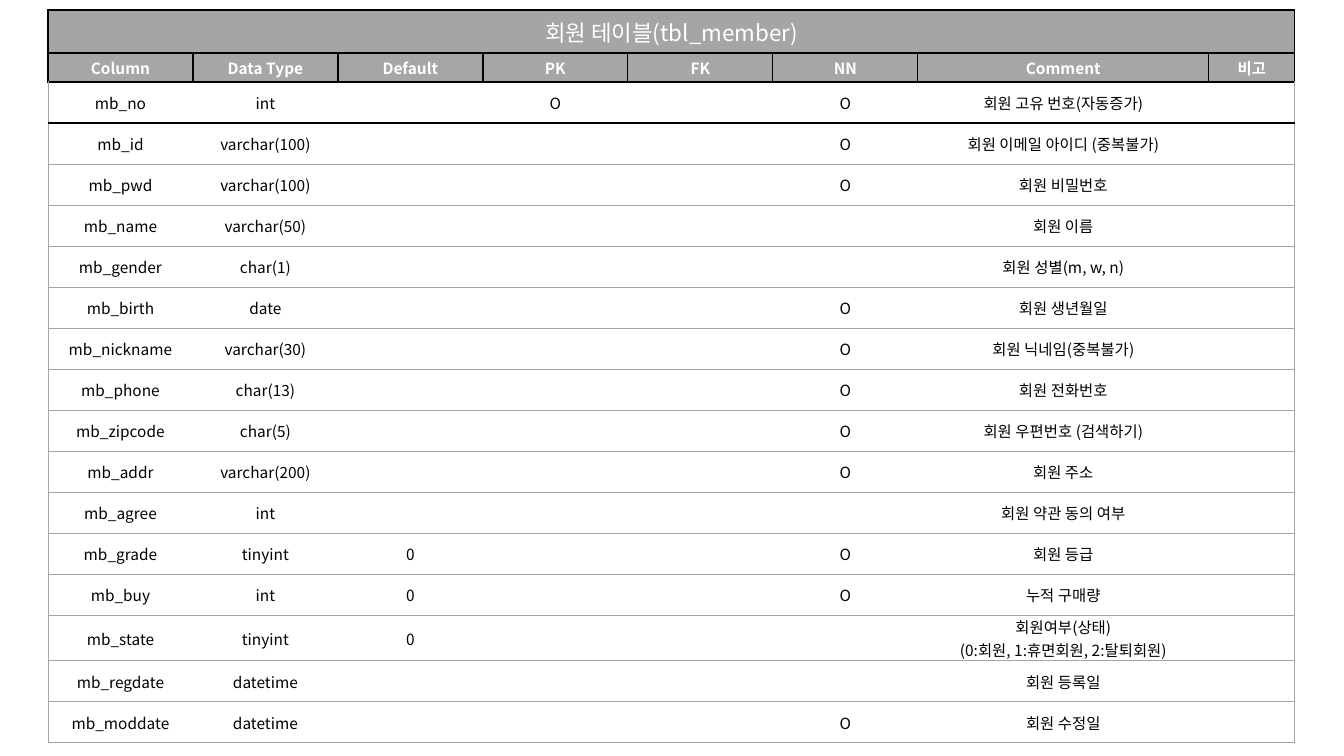
from dataclasses import dataclass

from lxml import etree
from pptx import Presentation
from pptx.dml.color import RGBColor
from pptx.enum.text import MSO_ANCHOR, PP_ALIGN
from pptx.oxml.ns import qn
from pptx.util import Pt

MIDDLE = MSO_ANCHOR.MIDDLE
CENTER = PP_ALIGN.CENTER
EMU_PER_PX = 914400 / 100.8
PLAIN_TABLE_STYLE = "{2D5ABB26-0587-4C30-8999-92F81FD0307C}"


@dataclass(frozen=True)
class Theme:
    """Colours, type sizes and line styles of the deck."""
    font: str = "Noto Sans CJK KR"
    title_size: int = 16
    body_size: int = 11
    white: str = "FFFFFF"
    black: str = "000000"
    title_fill: str = "A5A5A5"
    header_fill: str = "A6A6A6"
    strong_line: tuple = ("000000", 1)
    light_line: tuple = ("A5A5A5", 0.5)


THEME = Theme()
TITLE = "회원 테이블(tbl_member)"
HEADERS = ("Column", "Data Type", "Default", "PK", "FK", "NN", "Comment", "비고")
FIELDS = (
    ("mb_no", "int", "", "O", "", "O", "회원 고유 번호(자동증가)", ""),
    ("mb_id", "varchar(100)", "", "", "", "O", "회원 이메일 아이디 (중복불가)", ""),
    ("mb_pwd", "varchar(100)", "", "", "", "O", "회원 비밀번호", ""),
    ("mb_name", "varchar(50)", "", "", "", "", "회원 이름", ""),
    ("mb_gender", "char(1)", "", "", "", "", "회원 성별(m, w, n)", ""),
    ("mb_birth", "date", "", "", "", "O", "회원 생년월일", ""),
    ("mb_nickname", "varchar(30)", "", "", "", "O", "회원 닉네임(중복불가)", ""),
    ("mb_phone", "char(13)", "", "", "", "O", "회원 전화번호", ""),
    ("mb_zipcode", "char(5)", "", "", "", "O", "회원 우편번호 (검색하기)", ""),
    ("mb_addr", "varchar(200)", "", "", "", "O", "회원 주소", ""),
    ("mb_agree", "int", "", "", "", "", "회원 약관 동의 여부", ""),
    ("mb_grade", "tinyint", "0", "", "", "O", "회원 등급", ""),
    ("mb_buy", "int", "0", "", "", "O", "누적 구매량", ""),
    ("mb_state", "tinyint", "0", "", "", "",
     "회원여부(상태)\n(0:회원, 1:휴면회원, 2:탈퇴회원)", ""),
    ("mb_regdate", "datetime", "", "", "", "", "회원 등록일", ""),
    ("mb_moddate", "datetime", "", "", "", "O", "회원 수정일", ""),
)
COLUMN_WIDTHS = (145,) * 6 + (291, 86)
ROW_HEIGHTS = (43, 29) + (41,) * len(FIELDS)


def px(length):
    """Turn pixels into EMU."""
    return round(length * EMU_PER_PX)


def set_borders(cell, sides):
    """Draw the given sides of a cell, leaving out those that are None."""
    properties = cell._tc.get_or_add_tcPr()
    for side in ("L", "R", "T", "B"):
        if sides[side] is None:
            continue
        color, width = sides[side]
        line = etree.SubElement(properties, qn(f"a:ln{side}"), w=str(Pt(width)))
        fill = etree.SubElement(line, qn("a:solidFill"))
        etree.SubElement(fill, qn("a:srgbClr"), val=color)


def set_text(cell, text, size, color, bold):
    """Write centred text into a cell."""
    cell.vertical_anchor = MIDDLE
    cell.margin_left = cell.margin_right = cell.margin_top = px(1)
    cell.margin_bottom = 0
    para = cell.text_frame.paragraphs[0]
    para.text = text
    para.alignment = CENTER
    font = para.font
    font.size = Pt(size)
    font.bold = bold
    font.color.rgb = RGBColor.from_string(color)
    font.name = THEME.font
    etree.SubElement(font._element, qn("a:ea"), typeface=THEME.font)


def cell_borders(row, column):
    """Give the line on each side of a cell from its place in the grid."""
    strong, light = THEME.strong_line, THEME.light_line
    in_heading = row < 2
    inner = strong if in_heading else None
    outer = strong if in_heading else light
    return {
        "L": outer if column == 0 else inner,
        "R": outer if column == len(HEADERS) - 1 else inner,
        "T": strong if row <= 3 else light,
        "B": strong if row <= 2 else light,
    }


def add_member_table(slide, left, top):
    """Place the member table with its top left corner at the given point."""
    rows = ((TITLE,) + ("",) * (len(HEADERS) - 1), HEADERS) + FIELDS
    frame = slide.shapes.add_table(
        len(rows), len(HEADERS), px(left), px(top),
        px(sum(COLUMN_WIDTHS)), px(sum(ROW_HEIGHTS)))
    table = frame.table
    table.first_row = table.horz_banding = False
    table._tbl.tblPr.find(qn("a:tableStyleId")).text = PLAIN_TABLE_STYLE
    for column, width in zip(table.columns, COLUMN_WIDTHS):
        column.width = px(width)
    for row, height in zip(table.rows, ROW_HEIGHTS):
        row.height = px(height)
    heading_styles = (
        (THEME.title_size, THEME.white, False, THEME.title_fill),
        (THEME.body_size, THEME.white, True, THEME.header_fill),
    )
    body_style = (THEME.body_size, THEME.black, False, None)
    for row, texts in enumerate(rows):
        size, color, bold, fill = heading_styles[row] if row < 2 else body_style
        for column, text in enumerate(texts):
            cell = table.cell(row, column)
            set_text(cell, text, size, color, bold)
            set_borders(cell, cell_borders(row, column))
            if fill:
                cell.fill.solid()
                cell.fill.fore_color.rgb = RGBColor.from_string(fill)
            else:
                cell.fill.background()
    table.cell(0, 0).merge(table.cell(0, len(HEADERS) - 1))


def main():
    """Build the deck and save it."""
    deck = Presentation()
    deck.slide_width, deck.slide_height = px(1344), px(756)
    slide = deck.slides.add_slide(deck.slide_layouts[6])
    add_member_table(slide, 48, 10)
    deck.save("out.pptx")


if __name__ == "__main__":
    main()
